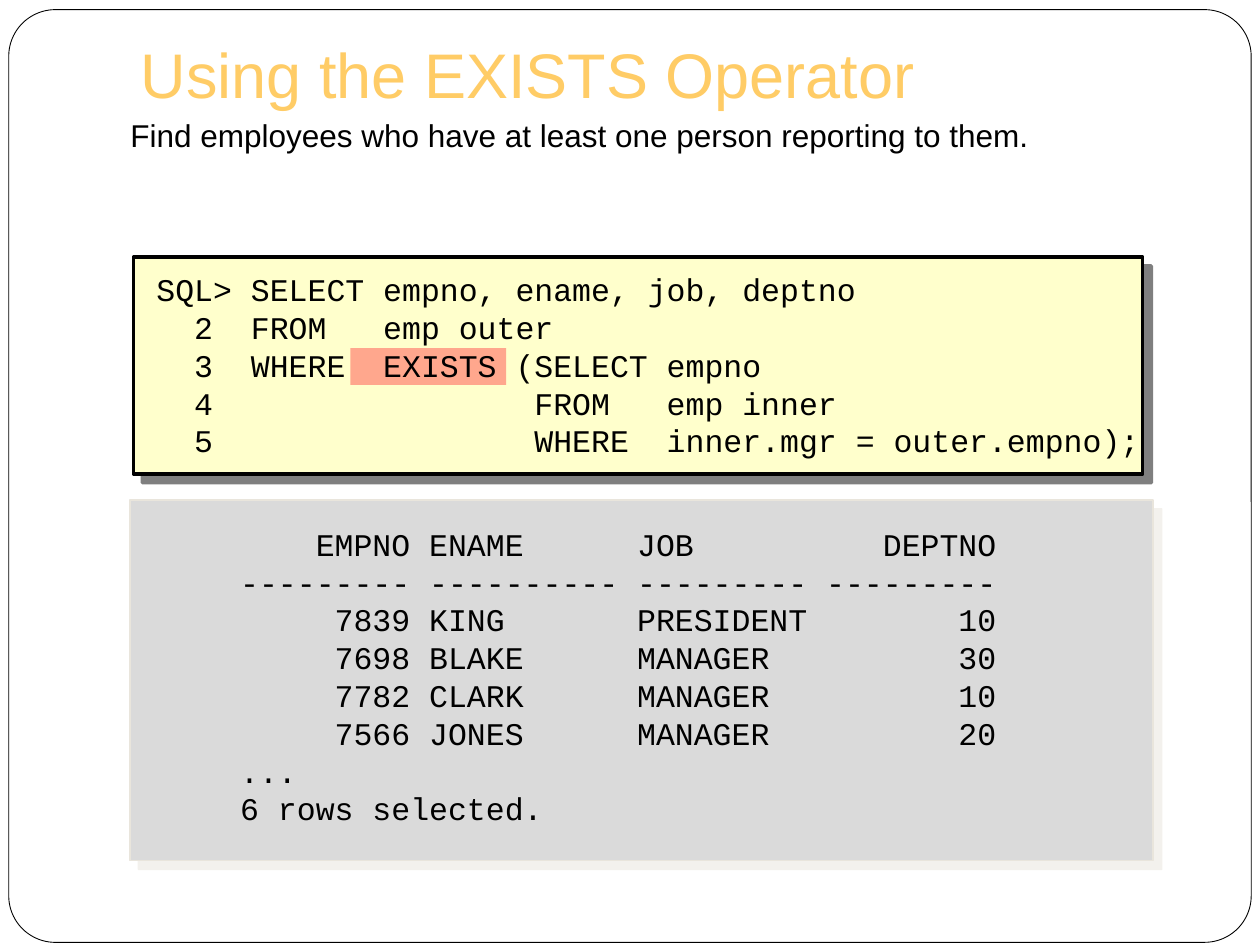
from lxml import etree
from pptx import Presentation
from pptx import util as u
from pptx.dml.color import RGBColor
from pptx.enum import shapes, text
from pptx.oxml import ns, parse_xml

Pt = u.Pt
BLACK = RGBColor(0x00, 0x00, 0x00)
WHITE = RGBColor(0xFF, 0xFF, 0xFF)
GOLD = RGBColor(0xFF, 0xCC, 0x66)
CREAM = RGBColor(0xFF, 0xFF, 0xCC)
RED = RGBColor(0xFF, 0x50, 0x50)
GREY = RGBColor(0xDA, 0xDA, 0xDA)
SAND = RGBColor(0xE9, 0xE5, 0xDC)

QUERY = [
    "SELECT empno, ename, job, deptno",
    "FROM   emp outer",
    "WHERE  EXISTS (SELECT empno",
    f"{'':15}FROM   emp inner",
    f"{'':15}WHERE  inner.mgr = outer.empno);",
]
EMPLOYEES = [
    ("EMPNO", "ENAME", "JOB", "DEPTNO"),
    ("-" * 9, "-" * 10, "-" * 9, "-" * 9),
    (7839, "KING", "PRESIDENT", 10),
    (7698, "BLAKE", "MANAGER", 30),
    (7782, "CLARK", "MANAGER", 10),
    (7566, "JONES", "MANAGER", 20),
]


def shadow_effect(color):
    """Return a half-transparent shadow cast down and to the right."""
    return parse_xml(
        f'<a:effectLst {ns.nsdecls("a")}>'
        '<a:outerShdw dist="90000" dir="2700000" algn="ctr" rotWithShape="0">'
        f'<a:srgbClr val="{color}"><a:alpha val="50000"/></a:srgbClr>'
        "</a:outerShdw></a:effectLst>"
    )


def add_panel(slide, box, fill, line=None, width=0, shadow=None,
              kind=shapes.MSO_SHAPE.RECTANGLE):
    """Draw one filled shape in the box, with optional outline and shadow."""
    panel = slide.shapes.add_shape(kind, *map(Pt, box))
    panel.shadow.inherit = False
    panel.fill.solid()
    panel.fill.fore_color.rgb = fill
    if line is None:
        panel.line.fill.background()
    else:
        panel.line.color.rgb = line
        panel.line.width = Pt(width)
    if shadow is not None:
        effects = panel.element.spPr.find(ns.qn("a:effectLst"))
        effects.getparent().replace(effects, shadow_effect(shadow))
    return panel


def add_lines(slide, box, lines, wrap=True, anchor=text.MSO_ANCHOR.TOP, **formats):
    """Write one paragraph per line in the box and return the runs."""
    frame = slide.shapes.add_textbox(*map(Pt, box)).text_frame
    frame.word_wrap = wrap
    frame.vertical_anchor = anchor
    look = {"name": "Arial", "size": Pt(18), "color": BLACK, **formats}
    color = look.pop("color")
    runs = []
    for index, line in enumerate(lines):
        paragraph = frame.add_paragraph() if index else frame.paragraphs[0]
        run = paragraph.add_run()
        run.text = line
        run.font.color.rgb = color
        for key, value in look.items():
            setattr(run.font, key, value)
        runs.append(run)
    return runs


def add_console(slide, box, lines):
    """Write unwrapped monospaced lines, centred vertically on the box."""
    add_lines(slide, box, lines, wrap=False, anchor=text.MSO_ANCHOR.MIDDLE,
              name="Courier New")


def add_frame(slide, box):
    """Outline the page with a rounded border."""
    frame = add_panel(slide, box, WHITE, BLACK, 0.5,
                      kind=shapes.MSO_SHAPE.ROUNDED_RECTANGLE)
    frame.adjustments[0] = 0.05


def add_heading(slide, box):
    """Place the shadowed title and the task beneath it."""
    left, top, width, height = box
    title = add_lines(slide, (left + 6, top, width - 12, 69),
                      ["Using the EXISTS Operator"], size=Pt(36), color=GOLD)[0]
    fill = title.font._element.find(ns.qn("a:solidFill"))
    fill.addnext(shadow_effect(BLACK))
    add_lines(slide, (left, top + 46, width, height - 46),
              ["Find employees who have at least one person reporting to them."])


def add_query(slide, box):
    """Show the numbered query with its operator highlighted."""
    left, top, width, height = box
    add_panel(slide, box, CREAM, BLACK, 2, BLACK)
    highlight = add_panel(slide, (left + 124, top + 52, 89, 21), RED)
    tint = highlight.element.spPr.find(ns.qn("a:solidFill"))[0]
    etree.SubElement(tint, ns.qn("a:alpha"), val="50000")
    prompts = ["SQL>"] + [f"{number:3} " for number in range(2, len(QUERY) + 1)]
    add_console(slide, (left + 6, top - 1, width + 2, height + 1),
                [f"{prompt} {line}" for prompt, line in zip(prompts, QUERY)])


def add_result(slide, box):
    """Show the rows which the query returns."""
    left, top, width, height = box
    add_panel(slide, box, GREY, SAND, 1, SAND)
    rows = [f"{empno:>9} {ename:<10} {job:<9} {deptno:>9}"
            for empno, ename, job, deptno in EMPLOYEES]
    add_console(slide, (left + 56, top + 46, width - 128, height - 97),
                rows + ["...", "6 rows selected."])


def main():
    """Build and save the slide."""
    deck = Presentation()
    deck.slide_width, deck.slide_height = Pt(720), Pt(540)
    slide = deck.slides.add_slide(deck.slide_layouts[6])
    add_frame(slide, (5, 5.5, 710, 533))
    add_result(slide, (74.2, 285.8, 584.6, 206))
    add_heading(slide, (67.5, 16.6, 587.5, 120))
    add_query(slide, (76.3, 147, 576.7, 123.8))
    deck.save("out.pptx")


if __name__ == "__main__":
    main()
